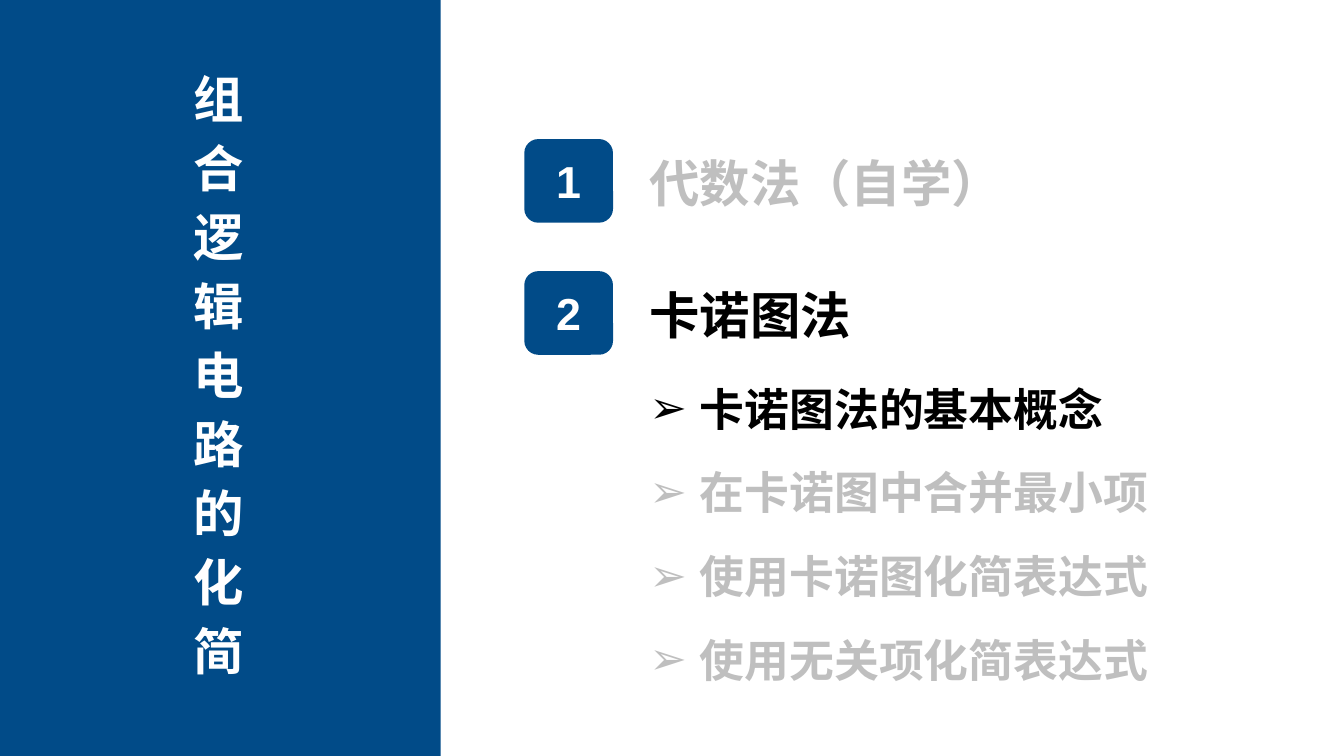
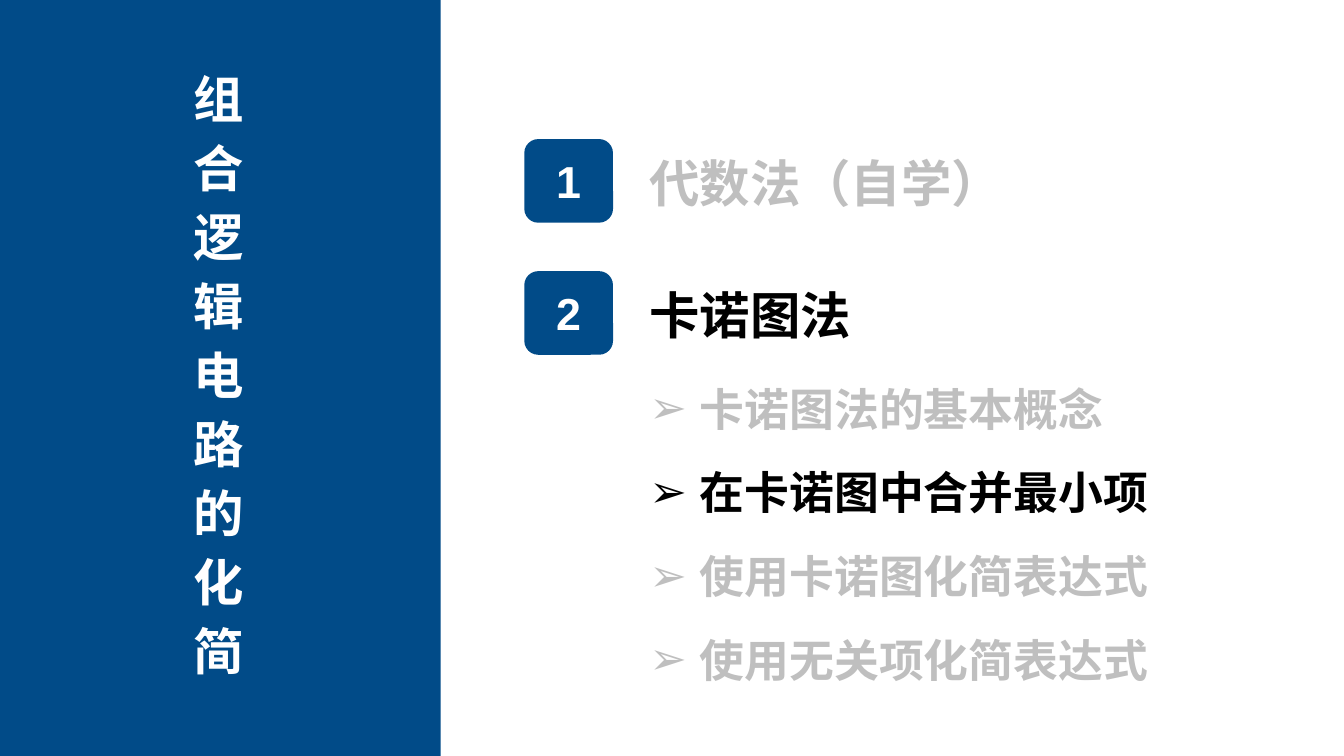
from lxml import etree
from pptx import Presentation
from pptx import util as u
from pptx.dml.color import RGBColor
from pptx.enum import shapes, text
from pptx.oxml.ns import qn

BLUE, WHITE, ACTIVE, MUTED = "014B88", "FFFFFF", "000000", "BFBFBF"
TOPIC = "组合逻辑电路的化简"
METHODS = [("代数法（自学）", MUTED), ("卡诺图法", ACTIVE)]
STEPS = ["卡诺图法的基本概念", "在卡诺图中合并最小项", "使用卡诺图化简表达式", "使用无关项化简表达式"]

# Grid in inches
PANEL_W, BADGE_X, TEXT_X = 4.37, 5.2, 6.44
BADGE_W, BADGE_H = 0.88, 0.83
METHOD_TOP, METHOD_PITCH, METHOD_H = 1.38, 1.31, 0.61
STEP_TOP, STEP_PITCH, STEP_H = 3.78, 0.83, 0.54


def rgb(color):
    return RGBColor.from_string(color)


def write(shape, words, size, color, align=text.PP_ALIGN.LEFT, margins=(0, 0, 0, 0),
          anchor=text.MSO_ANCHOR.MIDDLE, after=0, bullet=None):
    frame = shape.text_frame
    frame.text = words
    frame.word_wrap = True
    frame.auto_size = text.MSO_AUTO_SIZE.NONE
    frame.vertical_anchor = anchor
    frame.margin_left, frame.margin_top, frame.margin_right, frame.margin_bottom = map(u.Inches, margins)
    for paragraph in frame.paragraphs:
        paragraph.alignment = align
        paragraph.space_after = u.Pt(after)
        if bullet:
            props = paragraph._p.get_or_add_pPr()
            props.set("marL", str(u.Inches(0.5)))
            props.set("indent", str(-u.Inches(0.5)))
            etree.SubElement(props, qn("a:buFont"), typeface="Arial")
            etree.SubElement(props, qn("a:buChar"), char=bullet)
        for run in paragraph.runs:
            run.font.name, run.font.size, run.font.bold = "Arial", u.Pt(size), True
            run.font.color.rgb = rgb(color)


prs = Presentation()
prs.slide_width, prs.slide_height = u.Inches(13.33), u.Inches(7.5)

# One agenda slide for each current step
for current in range(2):
    slide = prs.slides.add_slide(prs.slide_layouts[5])

    # Side panel: the title, one character to a line
    topic = slide.shapes.title
    topic.left, topic.top = 0, 0
    topic.width, topic.height = u.Inches(PANEL_W), prs.slide_height
    topic.fill.solid()
    topic.fill.fore_color.rgb = rgb(BLUE)
    write(topic, "\n".join(TOPIC), 36, WHITE, text.PP_ALIGN.CENTER,
          (1.13, 0.68, 1.16, 0), text.MSO_ANCHOR.TOP, after=6)

    # Numbered methods
    for row, (method, color) in enumerate(METHODS):
        top = METHOD_TOP + row * METHOD_PITCH
        badge = slide.shapes.add_shape(shapes.MSO_SHAPE.ROUNDED_RECTANGLE, u.Inches(BADGE_X),
                                       u.Inches(top), u.Inches(BADGE_W), u.Inches(BADGE_H))
        badge.shadow.inherit = False
        badge.fill.solid()
        badge.fill.fore_color.rgb = rgb(BLUE)
        badge.line.fill.background()
        write(badge, str(row + 1), 32, WHITE, text.PP_ALIGN.CENTER, (0.08, 0.05, 0.08, 0.05))
        heading = slide.shapes.add_textbox(u.Inches(TEXT_X), u.Inches(top + 0.12),
                                           u.Inches(5.56), u.Inches(METHOD_H))
        write(heading, method, 36, color)

    # Steps of the second method, the current one in black
    for row, step in enumerate(STEPS):
        line = slide.shapes.add_textbox(u.Inches(TEXT_X), u.Inches(STEP_TOP + row * STEP_PITCH),
                                        u.Inches(5.06), u.Inches(STEP_H))
        write(line, step, 32, ACTIVE if row == current else MUTED, bullet="➢")

prs.save("out.pptx")
